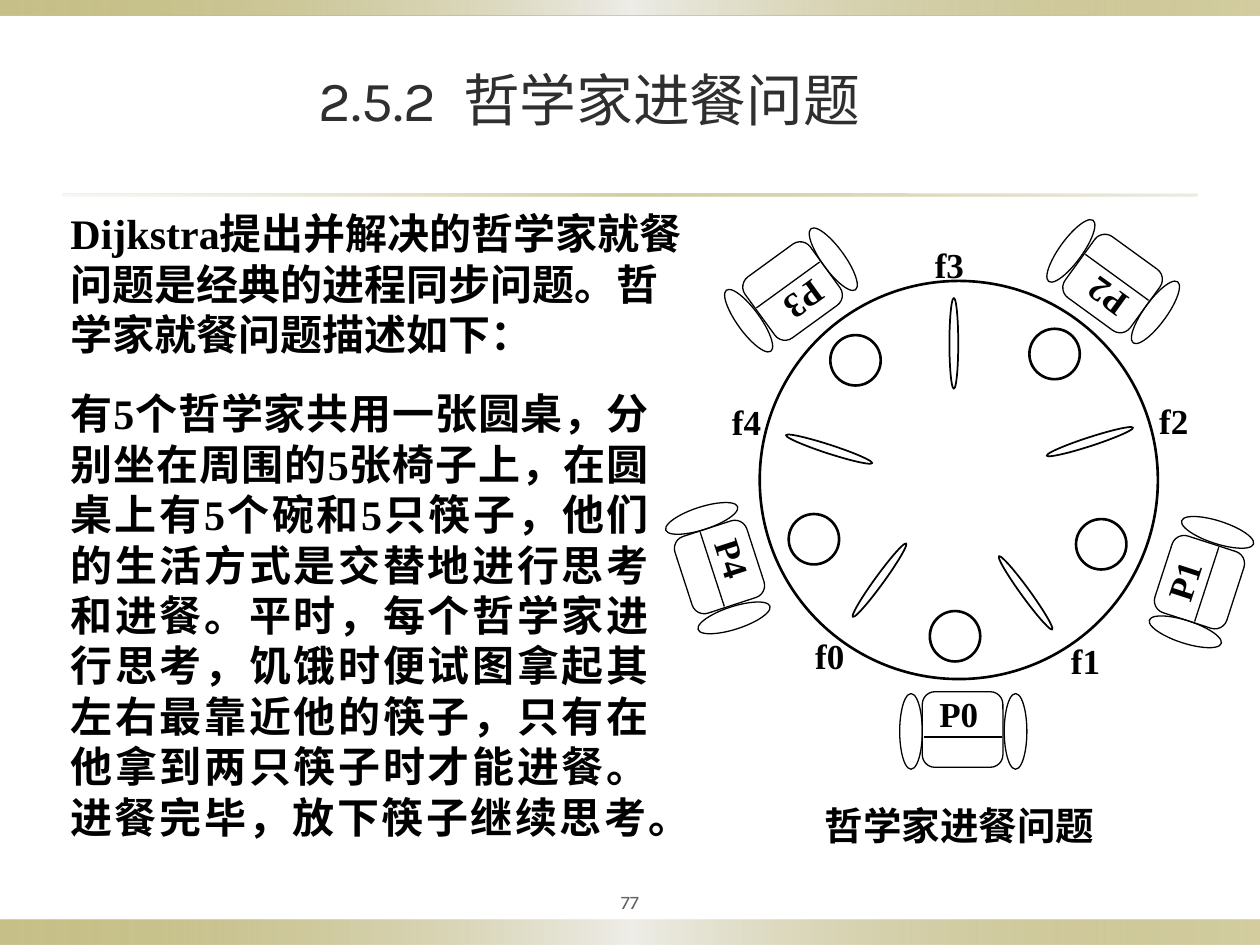
from math import cos, radians, sin

from lxml.etree import SubElement
from pptx import Presentation
from pptx.dml.color import RGBColor
from pptx.enum.shapes import MSO_CONNECTOR, MSO_SHAPE
from pptx.enum.text import MSO_ANCHOR, PP_ALIGN
from pptx.oxml.ns import qn
from pptx.util import Inches, Pt

BLACK = RGBColor(0x00, 0x00, 0x00)
TITLE_GREY = RGBColor(0x2F, 0x2F, 0x2F)
NUMBER_GREY = RGBColor(0x63, 0x63, 0x63)
OLIVE = RGBColor(0x91, 0x84, 0x15)
PALE = RGBColor(0xEE, 0xED, 0xE8)
SAND = RGBColor(0xDC, 0xD9, 0xCC)

HEAD, BODY, CJK = "Karla", "Times New Roman", "Noto Sans CJK SC"
COLS, ROWS = 100, 75
STEP = 72

CHAIRS = [(23.4, 39.9), (42.2, 28.2), (35.3, 4.5), (9.9, 5.1), (4.1, 27)]
BOWLS = [(22.8, 32.5), (34.4, 25.2), (30.7, 10.1), (14.9, 10.6), (11.6, 24.8)]
CHOPSTICKS = [(16.8, 28.05), (28.4, 29.05), (33.5, 17.05), (22.7, 9.25), (12.8, 17.65)]
FORK_LABELS = [(13.25, 34.05), (33.55, 34.45), (40.55, 15.35), (22.75, 2.95), (6.65, 15.45)]

INTRO = "Dijkstra提出并解决的哲学家就餐问题是经典的进程同步问题。哲学家就餐问题描述如下："
STORY = (
    "有5个哲学家共用一张圆桌，分别坐在周围的5张椅子上，在圆桌上有5个碗和5只筷子，"
    "他们的生活方式是交替地进行思考和进餐。平时，每个哲学家进行思考，饥饿时便试图拿起"
    "其左右最靠近他的筷子，只有在他拿到两只筷子时才能进餐。进餐完毕，放下筷子继续思考。"
)


def grid(*cells):
    """Turn grid cells, a tenth of an inch each, into lengths."""
    return [Inches(c / 10) for c in cells]


def around(center, size):
    """Return the box of a given size about a center."""
    (x, y), (w, h) = center, size
    return x - w / 2, y - h / 2, w, h


def turn(center, dx, dy, angle):
    """Return the point at an offset from a center, turned clockwise."""
    c, s = cos(radians(angle)), sin(radians(angle))
    return center[0] + dx * c - dy * s, center[1] + dx * s + dy * c


def write(sp, text, size, font=BODY, color=BLACK, bold=True, align=PP_ALIGN.LEFT,
          anchor=MSO_ANCHOR.TOP, inset=(0.6, 0.5), spacing=None):
    """Fill a shape with one formatted paragraph."""
    tf = sp.text_frame
    tf.word_wrap = True
    tf.vertical_anchor = anchor
    tf.margin_left, tf.margin_top = tf.margin_right, tf.margin_bottom = grid(*inset)
    p = tf.paragraphs[0]
    p.alignment = align
    if spacing:
        p.line_spacing = Pt(spacing)
    r = p.add_run()
    r.text = text
    r.font.size, r.font.name, r.font.bold = Pt(size), font, bold
    r.font.color.rgb = color
    SubElement(r.font._element, qn("a:ea"), typeface=CJK)


def add_text(s, box, text, size, rotation=0, **fmt):
    """Add a text box, turned if asked."""
    sp = s.shapes.add_textbox(*grid(*box))
    sp.rotation = rotation
    write(sp, text, size, **fmt)


def add_outline(s, kind, center, size, width, rotation=0):
    """Add an unfilled shape about a center."""
    sp = s.shapes.add_shape(kind, *grid(*around(center, size)))
    sp.shadow.inherit = False
    sp.fill.background()
    sp.line.color.rgb = BLACK
    sp.line.width = Pt(width)
    sp.rotation = rotation


def add_bar(s, box, stops):
    """Add a bar with a translucent horizontal gradient."""
    sp = s.shapes.add_shape(MSO_SHAPE.RECTANGLE, *grid(*box))
    sp.shadow.inherit = False
    sp.line.fill.background()
    sp.fill.gradient()
    sp.fill.gradient_angle = 0
    gs_list = sp._element.spPr.find(qn("a:gradFill")).find(qn("a:gsLst"))
    for gs in list(gs_list):
        gs_list.remove(gs)
    for i, (color, alpha) in enumerate(stops):
        gs = SubElement(gs_list, qn("a:gs"), pos=str(i * 50000))
        clr = SubElement(gs, qn("a:srgbClr"), val=str(color))
        SubElement(clr, qn("a:alpha"), val=str(alpha * 1000))


def add_frame(s):
    """Add the edge bars, the rule, the title and the page number."""
    edge = [(OLIVE, 50), (PALE, 100), (OLIVE, 40)]
    add_bar(s, (0, ROWS - 2, COLS, 2), edge)
    add_bar(s, (0, 0, COLS, 1.2), edge)
    add_bar(s, (5, 15.4, COLS - 10, 0.2), [(SAND, 20), (OLIVE, 40), (SAND, 50)])
    title = s.shapes.title
    title.left, title.top, title.width, title.height = grid(8.9, 4.4, 75.7, 6.9)
    write(title, "2.5.2  哲学家进餐问题", 32.4, font=HEAD, color=TITLE_GREY, bold=False,
          align=PP_ALIGN.CENTER, anchor=MSO_ANCHOR.MIDDLE, inset=(1, 0.5))
    add_text(s, (45, 70, 10, 3.1), "77", 11, font=HEAD, color=NUMBER_GREY, bold=False,
             align=PP_ALIGN.CENTER, anchor=MSO_ANCHOR.MIDDLE, inset=(0.5, 0.5))


def add_story(s, left, top):
    """Add the two paragraphs of the problem statement."""
    add_text(s, (left, top, 50, 13), INTRO, 24, spacing=28.8)
    add_text(s, (left, top + 14.3, 47.1, 37.4), STORY, 24, spacing=28.8,
             align=PP_ALIGN.JUSTIFY)


def add_chair(s, center, angle, name):
    """Add a chair with two arms, a back line and its philosopher's name."""
    add_outline(s, MSO_SHAPE.ROUNDED_RECTANGLE, center, (6.4, 6), 0.75, angle)
    for dx in (4.2, -4.1):
        add_outline(s, MSO_SHAPE.OVAL, turn(center, dx, 0.15, angle), (1.8, 6), 0.75, angle)
    ends = turn(center, -3.1, 0.6, angle) + turn(center, 3.1, 0.6, angle)
    line = s.shapes.add_connector(MSO_CONNECTOR.STRAIGHT, *grid(*ends))
    line.line.color.rgb = BLACK
    line.line.width = Pt(0.75)
    SubElement(line._element.spPr, qn("a:effectLst"))
    label = around(turn(center, 0, -1.25, angle), (4.9, 4.3))
    add_text(s, label, name, 20, rotation=angle)


def add_dining(s, left, top):
    """Add the round table with its chairs, bowls, chopsticks and caption."""
    def at(point):
        """Shift a point into the region."""
        return left + point[0], top + point[1]

    for i, chair in enumerate(CHAIRS):
        add_chair(s, at(chair), -STEP * i % 360, f"P{i}")
    add_outline(s, MSO_SHAPE.OVAL, at((23.1, 20.1)), (31.6, 31.6), 1.5)
    for i, (bowl, stick, label) in enumerate(zip(BOWLS, CHOPSTICKS, FORK_LABELS)):
        add_outline(s, MSO_SHAPE.OVAL, at(bowl), (4, 4), 1.5)
        add_outline(s, MSO_SHAPE.OVAL, at(stick), (7.2, 0.7), 1, 306 - STEP * i)
        add_text(s, around(at(label), (4.3, 4.3)), f"f{i}", 20)
    add_text(s, around(at((23.15, 47.55)), (40.3, 4.7)), "哲学家进餐问题", 22,
             align=PP_ALIGN.CENTER, spacing=26.4)


def main():
    """Build and save the slide."""
    prs = Presentation()
    prs.slide_width, prs.slide_height = grid(COLS, ROWS)
    s = prs.slides.add_slide(prs.slide_layouts[5])
    add_frame(s)
    add_story(s, 5, 16)
    add_dining(s, 53, 18)
    prs.save("out.pptx")


if __name__ == "__main__":
    main()
